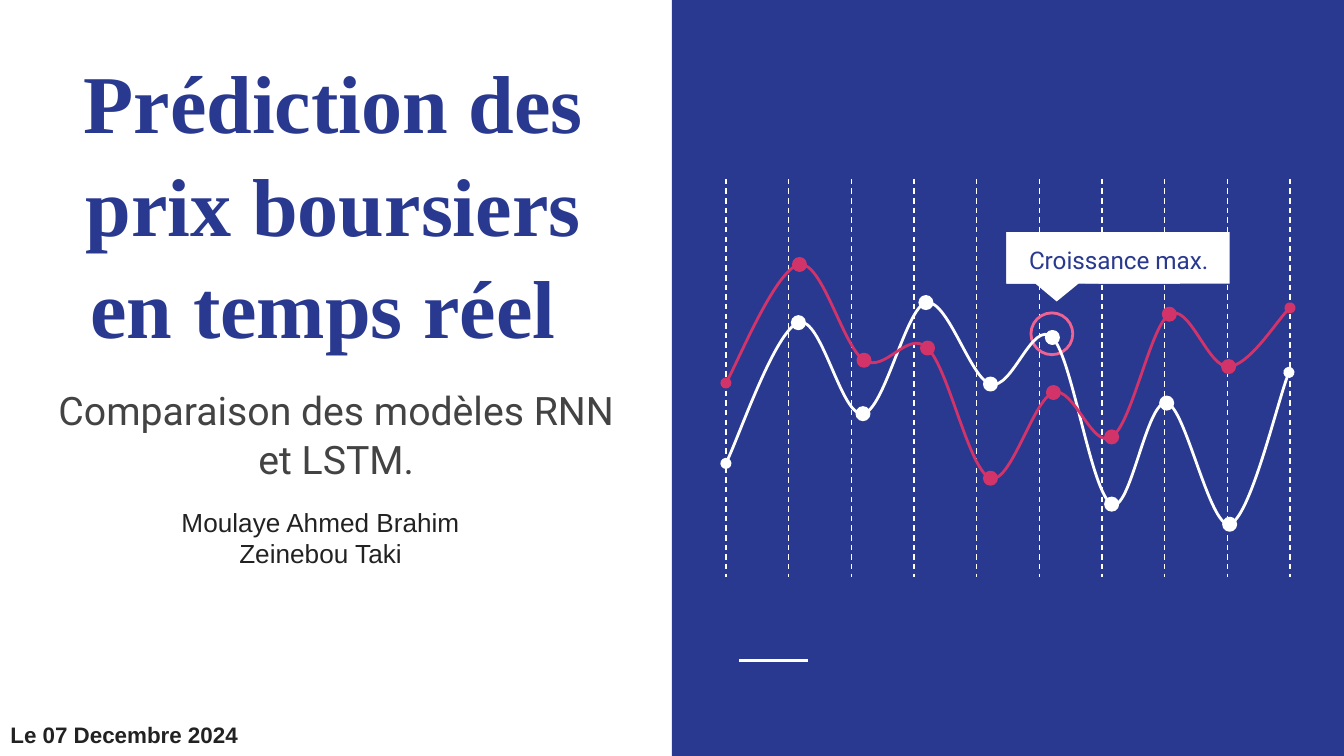
from dataclasses import dataclass

from lxml.etree import SubElement
from pptx import Presentation
from pptx.dml.color import RGBColor as RGB
from pptx.enum.dml import MSO_LINE_DASH_STYLE as DASH
from pptx.enum.shapes import MSO_CONNECTOR, MSO_SHAPE as SHAPE
from pptx.enum.text import MSO_ANCHOR as ANCHOR, MSO_AUTO_SIZE as FIT, PP_ALIGN as ALIGN
from pptx.oxml.ns import qn
from pptx.util import Cm, Pt


@dataclass(frozen=True)
class Theme:
    navy: RGB = RGB(0x2A, 0x39, 0x90)
    white: RGB = RGB(0xFF, 0xFF, 0xFF)
    red: RGB = RGB(0xD2, 0x33, 0x69)
    pink: RGB = RGB(0xF0, 0x62, 0x92)
    grey: RGB = RGB(0x43, 0x43, 0x43)
    ink: RGB = RGB(0x22, 0x22, 0x22)
    serif: str = "Times New Roman"
    sans: str = "Roboto"
    plain: str = "Arial"
    title: float = 44
    subtitle: float = 21
    names: float = 14
    label: float = 13
    date: float = 12
    thick: float = 1.5
    thin: float = 0.75


class Deck:
    def __init__(self, prs, theme):
        self.theme = theme
        self.s = prs.slides.add_slide(prs.slide_layouts[0])

    def set_text(self, sp, text, font, size, color, bold=False,
                 anchor=ANCHOR.MIDDLE, spacing=1.0, inset=0.13):
        tf = sp.text_frame
        tf.text = text
        tf.word_wrap = True
        tf.auto_size = FIT.NONE
        tf.vertical_anchor = anchor
        tf.margin_left = tf.margin_right = Cm(0.25)
        tf.margin_top = tf.margin_bottom = Cm(inset)
        for p in tf.paragraphs:
            p.alignment = ALIGN.CENTER
            p.line_spacing = spacing
            p.space_before = Pt(0)
            for r in p.runs:
                r.font.name = font
                r.font.size = Pt(size)
                r.font.bold = bold
                r.font.color.rgb = color

    def placeholder(self, idx, box, text, *style, **layout):
        sp = self.s.placeholders[idx]
        sp.left, sp.top, sp.width, sp.height = map(Cm, box)
        self.set_text(sp, text, *style, inset=0.25, **layout)

    def text(self, box, text, *style, **layout):
        sp = self.s.shapes.add_textbox(*map(Cm, box))
        self.set_text(sp, text, *style, **layout)

    def paint(self, sp, fill, line):
        sp.shadow.inherit = False
        if fill is None:
            sp.fill.background()
        else:
            sp.fill.solid()
            sp.fill.fore_color.rgb = fill
        if line is None:
            sp.line.fill.background()
        else:
            sp.line.color.rgb = line
            sp.line.width = Pt(self.theme.thick)

    def shape(self, kind, box, fill=None, line=None, adjustments=()):
        sp = self.s.shapes.add_shape(kind, *map(Cm, box))
        for i, value in enumerate(adjustments):
            sp.adjustments[i] = value
        self.paint(sp, fill, line)

    def circle(self, x, y, size, fill=None, line=None):
        self.shape(SHAPE.OVAL, (x - size / 2, y - size / 2, size, size), fill, line)

    def line(self, x1, y1, x2, y2, width, dash=None):
        cx = self.s.shapes.add_connector(MSO_CONNECTOR.STRAIGHT, *map(Cm, (x1, y1, x2, y2)))
        cx.line.color.rgb = self.theme.white
        cx.line.width = Pt(width)
        cx.line.dash_style = dash
        SubElement(cx._element.spPr, qn("a:effectLst"))

    def series(self, points, color):
        start, *rest = [(Cm(x), Cm(y)) for x, y in points]
        builder = self.s.shapes.build_freeform(*start)
        builder.add_line_segments(rest, close=False)
        sp = builder.convert_to_shape()
        self.paint(sp, None, color)
        outline = next(sp._element.iter(qn("a:path")))
        segments = outline.findall(qn("a:lnTo"))
        for i in range(0, len(segments), 3):
            bezier = SubElement(outline, qn("a:cubicBezTo"))
            for segment in segments[i:i + 3]:
                bezier.append(segment[0])
                outline.remove(segment)
        ln = sp._element.spPr.find(qn("a:ln"))
        for end in ("a:headEnd", "a:tailEnd"):
            SubElement(ln, qn(end), type="oval")
        for x, y in points[3:-1:3]:
            self.circle(x, y, 0.23, color, color)


WHITE_CURVE = [
    (13.72, 8.76), (13.94, 8.33), (14.66, 6.25), (15.09, 6.1),
    (15.52, 5.94), (15.9, 7.9), (16.31, 7.82),
    (16.71, 7.77), (17.12, 5.82), (17.5, 5.72),
    (17.91, 5.64), (18.34, 7.16), (18.72, 7.26),
    (19.13, 7.39), (19.51, 6.02), (19.89, 6.38),
    (20.27, 6.76), (20.62, 9.32), (21.01, 9.53),
    (21.36, 9.73), (21.67, 7.54), (22.05, 7.62),
    (22.4, 7.67), (22.86, 9.98), (23.24, 9.91),
    (23.62, 9.8), (24.16, 7.52), (24.36, 7.04),
]
RED_CURVE = [
    (13.72, 7.24), (13.94, 6.86), (14.68, 5.08), (15.11, 5),
    (15.54, 4.93), (15.93, 6.55), (16.33, 6.81),
    (16.74, 7.06), (17.15, 6.22), (17.53, 6.58),
    (17.93, 6.96), (18.31, 8.89), (18.72, 9.04),
    (19.1, 9.17), (19.53, 7.54), (19.91, 7.42),
    (20.29, 7.29), (20.65, 8.51), (21.01, 8.26),
    (21.39, 8.03), (21.74, 6.17), (22.1, 5.94),
    (22.48, 5.72), (22.83, 6.96), (23.22, 6.93),
    (23.6, 6.91), (24.18, 5.99), (24.38, 5.82),
]
GRID_LEFT, GRID_RIGHT, GRID_LINES = 13.72, 24.38, 10


def main():
    prs = Presentation()
    prs.slide_width, prs.slide_height = Cm(25.4), Cm(14.29)
    t = Theme()
    deck = Deck(prs, t)

    deck.shape(SHAPE.RECTANGLE, (12.7, 0, 12.7, 14.29), t.navy)
    deck.line(13.97, 12.48, 15.27, 12.48, t.thick)

    step = (GRID_RIGHT - GRID_LEFT) / (GRID_LINES - 1)
    for i in range(GRID_LINES):
        x = GRID_LEFT + i * step
        deck.line(x, 3.38, x, 10.9, t.thin, DASH.DASH)

    deck.circle(19.88, 6.31, 0.79, line=t.pink)
    deck.series(WHITE_CURVE, t.white)
    for width, tip in ((4.22, 0.49), (3.28, 0.85)):
        deck.shape(SHAPE.ROUNDED_RECTANGULAR_CALLOUT, (19.02, 4.39, width, 0.97),
                   t.white, adjustments=(-0.21, tip, 0))
    deck.series(RED_CURVE, t.red)

    deck.placeholder(0, (0.69, 0.46, 11.23, 6.5), "Prédiction des prix boursiers en temps réel ",
                     t.serif, t.title, t.navy, True, anchor=ANCHOR.BOTTOM, spacing=1.04)
    deck.placeholder(1, (0.74, 7.01, 11.23, 2.29), "Comparaison des modèles RNN et LSTM.",
                     t.sans, t.subtitle, t.grey, anchor=ANCHOR.TOP, spacing=1.04)
    deck.text((19.02, 4.47, 4.24, 0.79), "Croissance max.",
              t.sans, t.label, t.navy, spacing=1.15)
    deck.text((2.44, 9.5, 7.24, 1.32), "Moulaye Ahmed Brahim\nZeinebou Taki",
              t.plain, t.names, t.ink)
    deck.text((-1.27, 13.23, 7.24, 1.32), "Le 07 Decembre 2024",
              t.plain, t.date, t.ink, True)

    prs.save("out.pptx")


if __name__ == "__main__":
    main()
